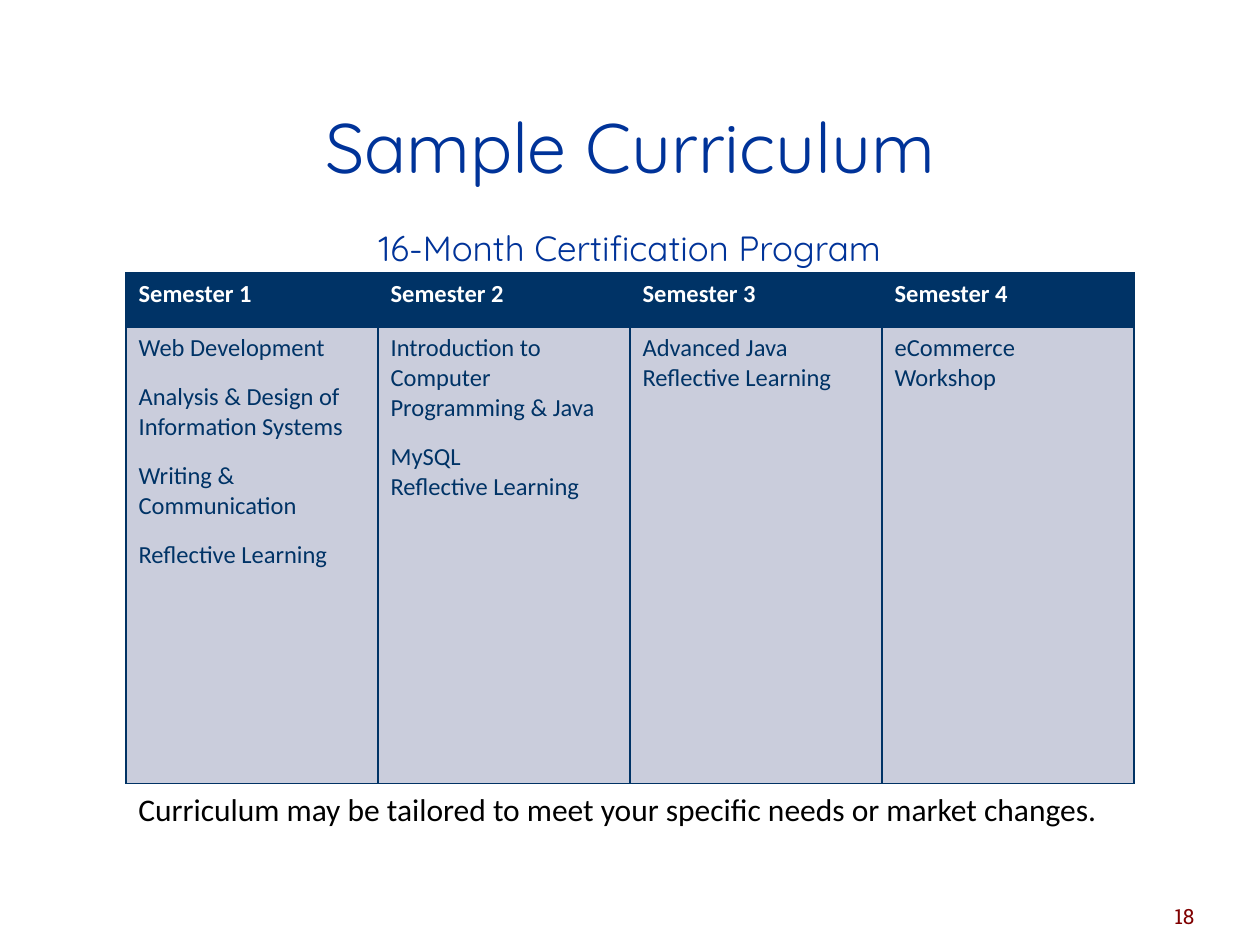
import pptx
import pptx.dml.color
import pptx.enum.text
import pptx.oxml
import pptx.oxml.ns
import pptx.util

Cm = pptx.util.Cm
Pt = pptx.util.Pt
Align = pptx.enum.text.PP_ALIGN
Anchor = pptx.enum.text.MSO_ANCHOR

NAVY, EDGE, BLUE = "003366", "003264", "003399"
TERMS = {
    "Semester 1": [
        ["Web Development"],
        ["Analysis & Design of Information Systems"],
        ["Writing & Communication"],
        ["Reflective Learning"],
    ],
    "Semester 2": [
        ["Introduction to Computer Programming & Java"],
        ["MySQL", "Reflective Learning"],
    ],
    "Semester 3": [["Advanced Java", "Reflective Learning"]],
    "Semester 4": [["eCommerce Workshop"]],
}


def tint(color, value):
    """Set a colour from a hex string."""
    color.rgb = pptx.dml.color.RGBColor.from_string(value)


def style(item, form):
    """Set each attribute named in a dict of format values."""
    for key, value in form.items():
        setattr(item, key, value)


def write(para, text, face, size, hue, bold=False, **form):
    """Fill a paragraph with text and format it."""
    para.text = text
    style(para, form)
    style(para.font, {"name": face, "size": Pt(size), "bold": bold})
    tint(para.font.color, hue)


def place(shape, box):
    """Move a shape to a box given in centimetres."""
    names = ("left", "top", "width", "height")
    style(shape, dict(zip(names, map(Cm, box))))


def add_title(slide, box):
    """Place the slide title."""
    title = slide.shapes.title
    place(title, box)
    style(title.text_frame, {"vertical_anchor": Anchor.MIDDLE, "word_wrap": True})
    write(title.text_frame.paragraphs[0], "Sample Curriculum", "Quicksand", 40,
          BLUE, alignment=Align.CENTER, line_spacing=0.85)


def add_label(slide, box, text, face, size, hue, anchor=Anchor.TOP, **form):
    """Add one line of text in a box."""
    frame = slide.shapes.add_textbox(*map(Cm, box)).text_frame
    style(frame, {"word_wrap": True, "vertical_anchor": anchor})
    write(frame.paragraphs[0], text, face, size, hue, **form)


def add_edge(cell, side, hue, width):
    """Draw one border of a cell."""
    line = pptx.oxml.parse_xml(
        f'<a:ln{side} {pptx.oxml.ns.nsdecls("a")} w="{Pt(width)}"><a:solidFill>'
        f'<a:srgbClr val="{hue}"/></a:solidFill></a:ln{side}>')
    cell._tc.get_or_add_tcPr().append(line)


def dress(cell, outer, fill):
    """Give a cell its borders and fill."""
    for side in "LRTB":
        hue, width = (EDGE, 0.75) if side in outer else (NAVY, 1)
        add_edge(cell, side, hue, width)
    cell.fill.solid()
    tint(cell.fill.fore_color, fill)


def add_terms(slide, box, head=1.09):
    """Add the table with one column for each semester."""
    last = len(TERMS) - 1
    table = slide.shapes.add_table(2, len(TERMS), *map(Cm, box)).table
    table.horz_banding = False
    for row, height in zip(table.rows, (head, box[3] - head)):
        row.height = Cm(height)
    for col, (term, groups) in enumerate(TERMS.items()):
        table.columns[col].width = Cm(box[2] / len(TERMS))
        outer = {0: "L", last: "R"}.get(col, "")
        top, body = table.cell(0, col), table.cell(1, col)
        dress(top, outer + "T", NAVY)
        dress(body, outer + "B", "CACDDC")
        write(top.text_frame.paragraphs[0], term, "Calibri", 14, "FFFFFF", True)
        frame = body.text_frame
        for rank, group in enumerate(groups):
            for spot, course in enumerate(group):
                first = rank == spot == 0
                para = frame.paragraphs[0] if first else frame.add_paragraph()
                gap = 11 if rank and not spot else 0
                write(para, course, "Calibri", 14, NAVY, space_before=Pt(gap))


def main():
    """Build the slide and save it."""
    deck = pptx.Presentation()
    style(deck, {"slide_width": Cm(25.4), "slide_height": Cm(19.05)})
    slide = deck.slides.add_slide(deck.slide_layouts[5])
    add_title(slide, (5.08, 1.9, 15.24, 2.34))
    add_label(slide, (2.54, 4.45, 20.32, 0.84), "16-Month Certification Program",
              "Quicksand", 20, BLUE, alignment=Align.CENTER)
    add_label(slide, (2.54, 15.88, 20.32, 0.94),
              "Curriculum may be tailored to meet your specific needs or market changes.",
              "Calibri", 18, "000000", line_spacing=0.9)
    add_terms(slide, (2.54, 5.5, 20.32, 10.29))
    add_label(slide, (22.43, 17.58, 1.9, 1.27), "18", "Roboto Slab", 12, "800000",
              Anchor.BOTTOM, alignment=Align.RIGHT)
    deck.save("out.pptx")


if __name__ == "__main__":
    main()
